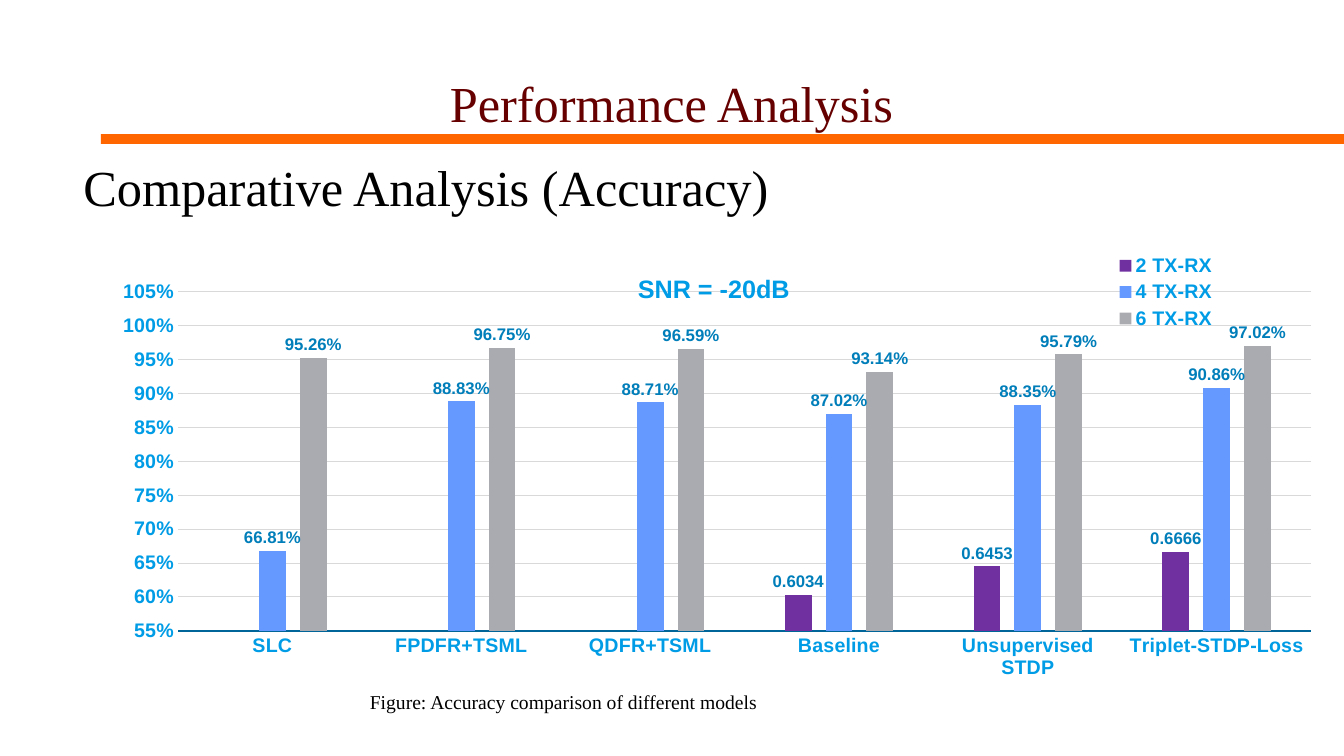
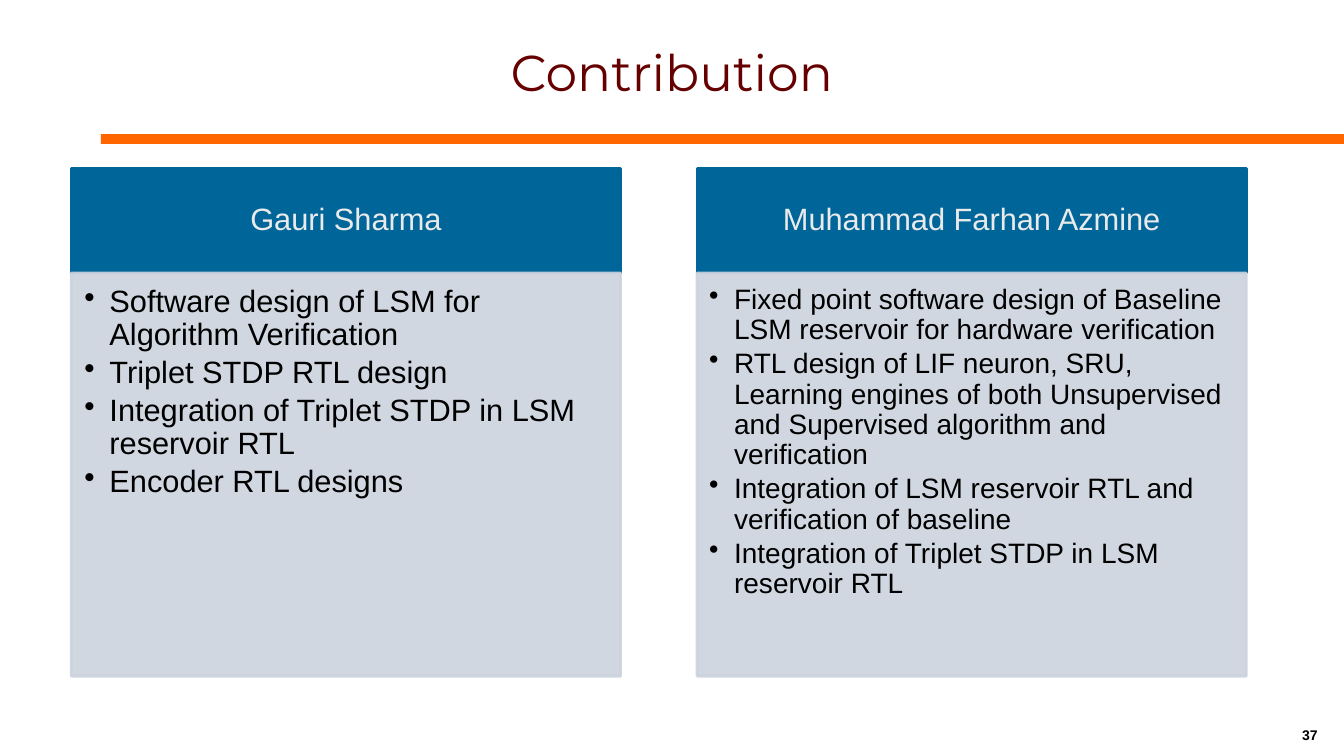
from lxml import etree
from pptx import Presentation
from pptx.chart.data import CategoryChartData
from pptx.dml.color import RGBColor
from pptx.enum.chart import XL_CHART_TYPE, XL_LABEL_POSITION, XL_LEGEND_POSITION, XL_TICK_MARK
from pptx.enum.shapes import MSO_SHAPE
from pptx.enum.text import MSO_ANCHOR, MSO_AUTO_SIZE, PP_ALIGN
from pptx.oxml.ns import qn
from pptx.util import Cm, Pt

LEFT, CENTER = PP_ALIGN.LEFT, PP_ALIGN.CENTER
TOP, MIDDLE = MSO_ANCHOR.TOP, MSO_ANCHOR.MIDDLE
RECT = MSO_SHAPE.RECTANGLE
COLUMNS = XL_CHART_TYPE.COLUMN_CLUSTERED
OUTSIDE = XL_LABEL_POSITION.OUTSIDE_END
CORNER = XL_LEGEND_POSITION.CORNER
NO_TICK = XL_TICK_MARK.NONE

SANS, SERIF, DISPLAY = "Arial", "Times New Roman", "Montserrat"
COLORS = {
    "title": "660000", "band": "FF6600", "text": "000000",
    "header": "006699", "header_text": "EAEAEA", "panel": "CCD3DE",
    "axis_text": "009CE5", "label": "007EBA", "grid": "D9D9D9",
    "chart_text": "00354E",
    "tx2": "7030A0", "tx4": "6699FF", "tx6": "AAABB0",
}

MODELS = ["SLC", "FPDFR+TSML", "QDFR+TSML", "Baseline", "Unsupervised STDP", "Triplet-STDP-Loss"]
SERIES = [
    ("2 TX-RX", "tx2", "General", [None, None, None, 0.6034, 0.6453, 0.6666]),
    ("4 TX-RX", "tx4", "0.00%", [0.6681, 0.8883, 0.8871, 0.8702, 0.8835, 0.9086]),
    ("6 TX-RX", "tx6", "0.00%", [0.9526, 0.9675, 0.9659, 0.9314, 0.9579, 0.9702]),
]
CONTRIBUTIONS = [
    ("Gauri Sharma", 22, (0.33, 0.33, 0.43, 0.48), [
        "Software design of LSM for Algorithm Verification",
        "Triplet STDP RTL design",
        "Integration of Triplet STDP in LSM reservoir RTL",
        "Encoder RTL designs",
    ]),
    ("Muhammad Farhan Azmine", 20, (0.3, 0.3, 0.41, 0.43), [
        "Fixed point software design of Baseline LSM reservoir for hardware verification",
        "RTL design of LIF neuron, SRU, Learning engines of both Unsupervised "
        "and Supervised algorithm and verification",
        "Integration of LSM reservoir RTL and verification of baseline",
        "Integration of Triplet STDP in LSM reservoir RTL",
    ]),
]
CARD_LEFT, CARD_TOP, CARD_PITCH, CARD_WIDTH = 1.8, 4.24, 15.77, 13.84
HEADER_HEIGHT, PANEL_HEIGHT = 2.64, 10.16


def rgb(name):
    return RGBColor.from_string(COLORS[name])


def style_font(font, size, color, name=SANS, bold=False):
    font.size, font.name, font.bold = Pt(size), name, bold
    font.color.rgb = rgb(color)


def put_text(tf, *lines, size=14, color="text", font=SANS, bold=False, align=LEFT,
             anchor=TOP, insets=(0.25, 0.13, 0.25, 0.13), spacing=None, after=0, bullet=False):
    tf.word_wrap, tf.auto_size = True, MSO_AUTO_SIZE.NONE
    tf.vertical_anchor = anchor
    tf.margin_left, tf.margin_top, tf.margin_right, tf.margin_bottom = map(Cm, insets)
    for i, line in enumerate(lines):
        p = tf.add_paragraph() if i else tf.paragraphs[0]
        p.alignment, p.space_after = align, Pt(after)
        if spacing:
            p.line_spacing = spacing
        if bullet:
            pPr = p._p.get_or_add_pPr()
            pPr.set("marL", str(Cm(0.63)))
            pPr.set("indent", str(-Cm(0.63)))
            etree.SubElement(pPr, qn("a:buChar")).set("char", "•")
        r = p.add_run()
        r.text = line
        style_font(r.font, size, color, font, bold)


def add_text(s, box, text, **fmt):
    put_text(s.shapes.add_textbox(*map(Cm, box)).text_frame, text, **fmt)


def add_rect(s, box, color, outlined=False, alpha=None):
    sp = s.shapes.add_shape(RECT, *map(Cm, box))
    sp.shadow.inherit = False
    sp.fill.solid()
    sp.fill.fore_color.rgb = rgb(color)
    if outlined:
        sp.line.color.rgb = rgb(color)
        sp.line.width = Pt(2)
    else:
        sp.line.fill.background()
    if alpha:
        for clr in sp.element.spPr.iter(qn("a:srgbClr")):
            etree.SubElement(clr, qn("a:alpha")).set("val", str(alpha * 1000))
    return sp


def add_slide(prs, title, box, font):
    s = prs.slides.add_slide(prs.slide_layouts[5])
    add_rect(s, (2.54, 3.38, 31.33, 0.25), "band")
    sp = s.shapes.title
    sp.left, sp.top, sp.width, sp.height = map(Cm, box)
    put_text(sp.text_frame, title, size=36, color="title", font=font, align=CENTER, anchor=MIDDLE)
    return s


def place(parent, index, inner=False, **fractions):
    for old in parent.findall(qn("c:layout")):
        parent.remove(old)
    layout = etree.Element(qn("c:layout"))
    manual = etree.SubElement(layout, qn("c:manualLayout"))
    values = {"layoutTarget": "inner"} if inner else {}
    values.update(xMode="edge", yMode="edge", **fractions)
    for tag, value in values.items():
        etree.SubElement(manual, qn("c:" + tag)).set("val", str(value))
    parent.insert(index, layout)


def add_accuracy_chart(s, box):
    data = CategoryChartData()
    data.categories = MODELS
    for name, _, fmt, values in SERIES:
        data.add_series(name, values, number_format=fmt)
    chart = s.shapes.add_chart(COLUMNS, *map(Cm, box), data).chart
    style_font(chart.font, 10, "chart_text")

    chart.has_title = True
    p = chart.chart_title.text_frame.paragraphs[0]
    r = p.add_run()
    r.text = "SNR = -20dB"
    style_font(r.font, 18, "axis_text", bold=True)

    chart.has_legend = True
    chart.legend.position = CORNER
    chart.legend.include_in_layout = False
    style_font(chart.legend.font, 14, "axis_text", bold=True)

    cat, val = chart.category_axis, chart.value_axis
    for axis in (cat, val):
        axis.major_tick_mark = axis.minor_tick_mark = NO_TICK
        style_font(axis.tick_labels.font, 14, "axis_text", bold=True)
    cat.format.line.color.rgb = rgb("header")
    cat.format.line.width = Pt(1.25)
    val.format.line.fill.background()
    val.minimum_scale, val.maximum_scale, val.major_unit = 0.55, 1.05, 0.05
    val.tick_labels.number_format = "0%"
    val.tick_labels.number_format_is_linked = False
    val.major_gridlines.format.line.color.rgb = rgb("grid")
    val.major_gridlines.format.line.width = Pt(0.75)

    plot = chart.plots[0]
    plot.gap_width, plot.overlap, plot.vary_by_categories = 300, -52, False
    for series, (_, color, fmt, _) in zip(plot.series, SERIES):
        series.format.fill.solid()
        series.format.fill.fore_color.rgb = rgb(color)
        labels = series.data_labels
        labels.show_value, labels.position = True, OUTSIDE
        labels.number_format, labels.number_format_is_linked = fmt, False
        style_font(labels.font, 12, "label", bold=True)

    root = chart.element.find(qn("c:chart"))
    place(root.find(qn("c:title")), 1, x=0.43, y=0.05)
    place(root.find(qn("c:plotArea")), 0, inner=True, x=0.054, y=0.104, w=0.936, h=0.774)
    place(root.find(qn("c:legend")), 1, x=0.82, y=0.01, w=0.1, h=0.19)


def add_card(s, left, name, size, insets, items):
    header = add_rect(s, (left, CARD_TOP, CARD_WIDTH, HEADER_HEIGHT), "header", outlined=True)
    put_text(header.text_frame, name, size=22, color="header_text", align=CENTER, anchor=MIDDLE,
             insets=(0.43, 0.25, 0.43, 0.25), spacing=0.9)
    panel = add_rect(s, (left, CARD_TOP + HEADER_HEIGHT, CARD_WIDTH, PANEL_HEIGHT), "panel",
                     outlined=True, alpha=90)
    put_text(panel.text_frame, *items, size=size, insets=insets, spacing=0.9,
             after=round(size * 0.15, 1), bullet=True)


def main():
    prs = Presentation()
    prs.slide_width, prs.slide_height = Cm(33.87), Cm(19.05)

    s = add_slide(prs, "Performance Analysis", (1.85, 1.09, 30.15, 3), SERIF)
    add_text(s, (1.85, 3.81, 30.51, 1.8), "Comparative Analysis (Accuracy)", size=36, font=SERIF)
    add_text(s, (9.07, 17.25, 22.63, 1.8), "Figure: Accuracy comparison of different models", font=SERIF)
    add_accuracy_chart(s, (2.84, 6.2, 30.51, 11.05))

    s = add_slide(prs, "Contribution", (2.54, 0.2, 28.78, 3.18), DISPLAY)
    for i, card in enumerate(CONTRIBUTIONS):
        add_card(s, CARD_LEFT + i * CARD_PITCH, *card)
    add_text(s, (32.16, 18.03, 1.7, 0.97), "37", size=10, bold=True, align=CENTER, anchor=MIDDLE)

    prs.save("out.pptx")


if __name__ == "__main__":
    main()
